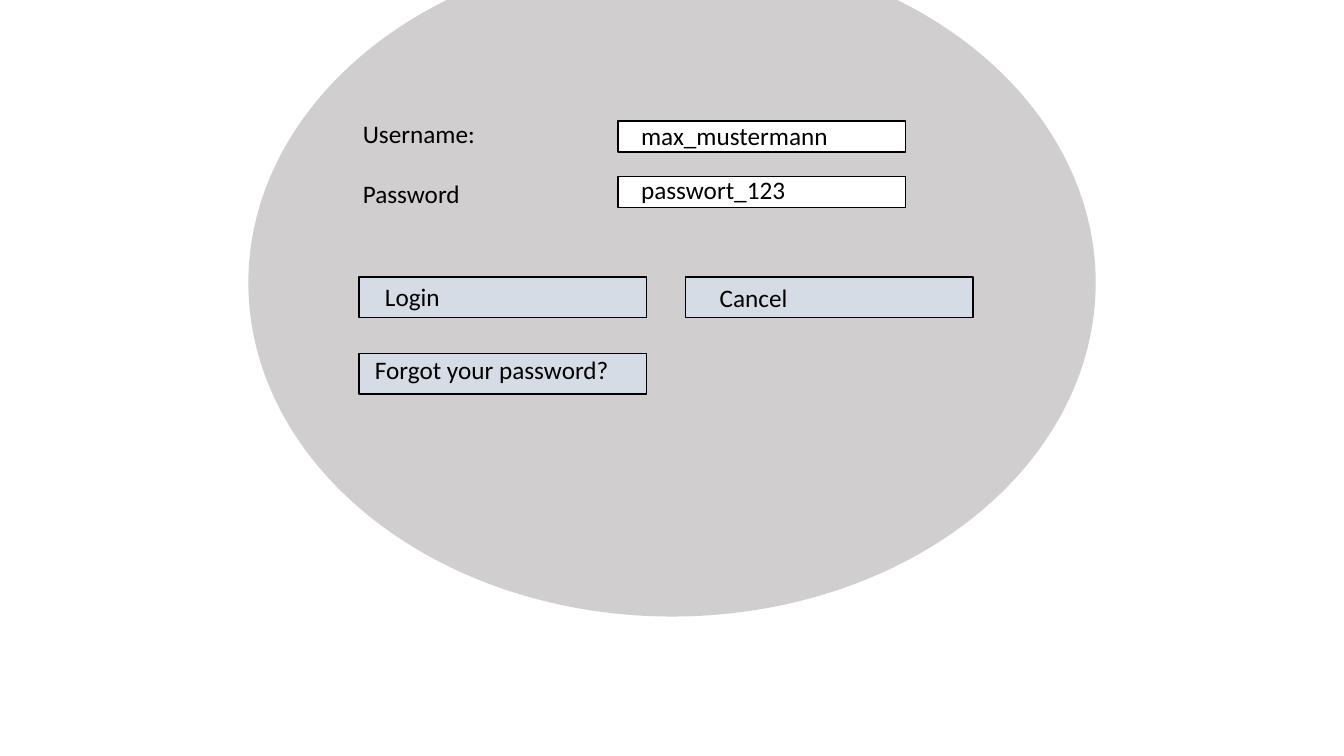
from dataclasses import dataclass

from pptx import Presentation
from pptx.dml.color import RGBColor
from pptx.enum.shapes import MSO_SHAPE
from pptx.enum.text import MSO_AUTO_SIZE
from pptx.util import Inches, Pt


@dataclass(frozen=True)
class Theme:
    panel: RGBColor = RGBColor.from_string("D0CECE")
    button: RGBColor = RGBColor.from_string("D6DCE5")
    field: RGBColor = RGBColor.from_string("FFFFFF")
    ink: RGBColor = RGBColor.from_string("000000")
    font: str = "Calibri"
    size: Pt = Pt(18)
    gap: Pt = Pt(21.5)
    line: Pt = Pt(1)


class Form:
    def __init__(self, slide, theme):
        self.slide = slide
        self.theme = theme

    def shape(self, kind, box, fill, line):
        item = self.slide.shapes.add_shape(kind, *map(Inches, box))
        item.shadow.inherit = False
        item.fill.solid()
        item.fill.fore_color.rgb = fill
        item.line.color.rgb = line
        item.line.width = self.theme.line

    def panel(self, box):
        self.shape(MSO_SHAPE.OVAL, box, self.theme.panel, self.theme.panel)

    def button(self, left, top):
        box = (left, top, 2.85, 0.4)
        self.shape(MSO_SHAPE.RECTANGLE, box, self.theme.button, self.theme.ink)

    def field(self, left, top):
        box = (left, top, 2.85, 0.31)
        self.shape(MSO_SHAPE.RECTANGLE, box, self.theme.field, self.theme.ink)

    def text(self, box, *lines):
        frame = self.slide.shapes.add_textbox(*map(Inches, box)).text_frame
        frame.word_wrap = True
        frame.auto_size = MSO_AUTO_SIZE.NONE
        style = {"name": self.theme.font, "size": self.theme.size}
        for count, line in enumerate(lines):
            para = frame.add_paragraph() if count else frame.paragraphs[0]
            if count:
                para.space_before = self.theme.gap
            run = para.add_run()
            run.text = line
            for key, value in style.items():
                setattr(run.font, key, value)
            run.font.color.rgb = self.theme.ink


def main():
    deck = Presentation()
    deck.slide_width = Inches(13.33)
    deck.slide_height = Inches(7.5)
    form = Form(deck.slides.add_slide(deck.slide_layouts[6]), Theme())

    form.panel((2.47, -0.5, 8.39, 6.61))
    form.text((3.5, 1.12, 3.01, 2.83), "Username:", "Password")
    for top in (1.2, 1.75):
        form.field(6.13, top)
    for left, top in ((3.56, 2.75), (6.8, 2.75), (3.56, 3.51)):
        form.button(left, top)

    labels = (
        ("Cancel", 7.04, 2.75, 2.04),
        ("Login", 3.72, 2.74, 2.04),
        ("Forgot your password?", 3.62, 3.47, 2.78),
        ("max_mustermann", 6.26, 1.14, 2.32),
        ("passwort_123", 6.26, 1.68, 2.32),
    )
    for label, left, top, width in labels:
        form.text((left, top, width, 0.4), label)

    deck.save("out.pptx")


if __name__ == "__main__":
    main()
